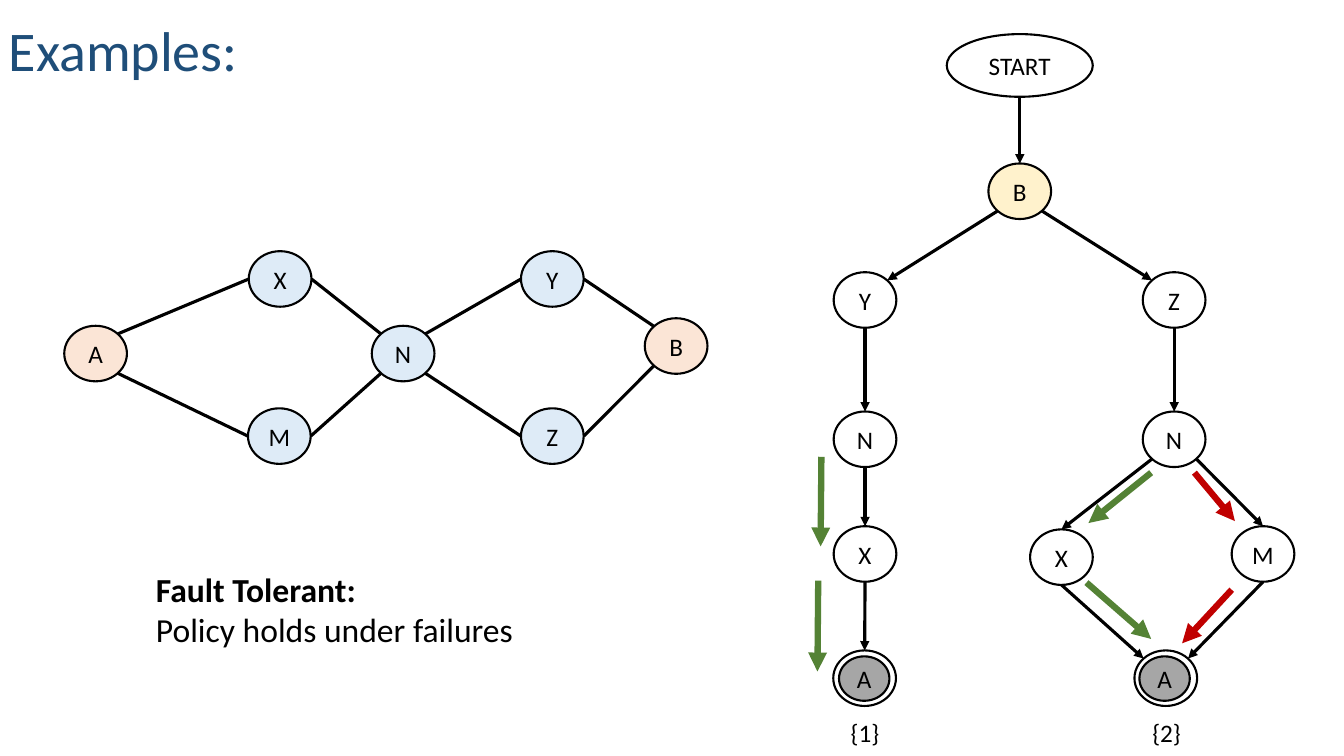
"""Build a slide comparing a network with its fault-tolerant policy tree."""
from dataclasses import dataclass

from lxml import etree
from pptx import Presentation
from pptx import util as u
from pptx.dml.color import RGBColor
from pptx.enum import shapes, text
from pptx.oxml.ns import qn


@dataclass(frozen=True)
class Theme:
    font: str = "Calibri"
    title: str = "1F4E79"
    ink: str = "000000"
    white: str = "FFFFFF"
    endpoint: str = "FBE5D6"
    switch: str = "DEEBF7"
    root: str = "FFF2CC"
    goal: str = "A6A6A6"
    primary: str = "548235"
    backup: str = "C00000"
    title_size: int = 40
    body_size: int = 24
    label_size: int = 18
    outline: float = 1.5
    edge: float = 2.25
    route: float = 4.5


THEME = Theme()
NODE = (1.58, 1.4)
START = (3.68, 1.58)
GOAL = (1.27, 1.12)

TITLE = ("Examples:", (-0.03, -0.13, 22.2, 2.36))
NOTE = ("Fault Tolerant:\nPolicy holds under failures", (3.68, 14.2, 9.91, 2.31))
CAPTIONS = [("{1}", (21.18, 17.96, 1.24, 1.02)), ("{2}", (28.78, 17.96, 1.24, 1.02))]

# key: label, centre x, centre y, size, fill
NODES = {
    "net A": ("A", 2.41, 8.91, NODE, THEME.endpoint),
    "net X": ("X", 7.06, 7.03, NODE, THEME.switch),
    "net M": ("M", 7.04, 10.99, NODE, THEME.switch),
    "net N": ("N", 10.16, 8.91, NODE, THEME.switch),
    "net Y": ("Y", 13.92, 7.03, NODE, THEME.switch),
    "net Z": ("Z", 13.92, 10.99, NODE, THEME.switch),
    "net B": ("B", 17.04, 8.72, NODE, THEME.endpoint),
    "start": ("START", 25.7, 1.65, START, THEME.white),
    "root": ("B", 25.7, 4.82, NODE, THEME.root),
    "left Y": ("Y", 21.8, 7.56, NODE, THEME.white),
    "left N": ("N", 21.8, 11.07, NODE, THEME.white),
    "left X": ("X", 21.8, 13.96, NODE, THEME.white),
    "left ring": ("", 21.79, 17.09, NODE, THEME.white),
    "left A": ("A", 21.78, 17.1, GOAL, THEME.goal),
    "right Z": ("Z", 29.59, 7.56, NODE, THEME.white),
    "right N": ("N", 29.59, 11.07, NODE, THEME.white),
    "right X": ("X", 26.75, 14.04, NODE, THEME.white),
    "right M": ("M", 31.83, 13.96, NODE, THEME.white),
    "right ring": ("", 29.38, 17.09, NODE, THEME.white),
    "right A": ("A", 29.35, 17.1, GOAL, THEME.goal),
}

SIDES = {"n": (0, -1), "s": (0, 1), "w": (-1, 0), "e": (1, 0),
         "nw": (-0.71, -0.71), "ne": (0.71, -0.71),
         "sw": (-0.71, 0.71), "se": (0.71, 0.71)}

LINKS = [
    ("net A", "ne", "net X", "w"), ("net A", "se", "net M", "w"),
    ("net N", "nw", "net X", "e"), ("net N", "sw", "net M", "e"),
    ("net N", "ne", "net Y", "w"), ("net N", "se", "net Z", "w"),
    ("net Y", "e", "net B", "nw"), ("net Z", "e", "net B", "sw"),
]
STEPS = [
    ("start", "s", "root", "n"),
    ("root", "sw", "left Y", "ne"), ("root", "se", "right Z", "nw"),
    ("left Y", "s", "left N", "n"), ("left N", "s", "left X", "n"),
    ("left X", "s", "left ring", "n"), ("right Z", "s", "right N", "n"),
    ("right N", "sw", "right X", "n"), ("right N", "se", "right M", "n"),
    ("right X", "s", "right ring", "nw"), ("right M", "s", "right ring", "ne"),
]
ROUTES = [
    ((20.7, 11.51), (20.68, 13.77), THEME.primary),
    ((20.62, 14.63), (20.6, 16.92), THEME.primary),
    ((29.01, 11.91), (27.43, 13.18), THEME.primary),
    ((27.38, 14.68), (29.01, 16.1), THEME.primary),
    ((30.1, 11.91), (31.12, 13.13), THEME.backup),
    ((31.04, 14.86), (29.79, 16.21), THEME.backup),
]


def rgb(value):
    return RGBColor.from_string(value)


def style_text(frame, size, color=THEME.ink, align=None):
    for para in frame.paragraphs:
        para.alignment = align
        for span in para.runs:
            span.font.name = THEME.font
            span.font.size = u.Pt(size)
            span.font.color.rgb = rgb(color)


def add_text(page, words, bounds, size, color=THEME.ink, align=None):
    frame = page.shapes.add_textbox(*map(u.Cm, bounds)).text_frame
    frame.word_wrap = False
    frame.text = words
    style_text(frame, size, color, align)
    return frame


def add_node(page, label, x, y, size, fill):
    width, height = size
    bounds = (x - width / 2, y - height / 2, width, height)
    node = page.shapes.add_shape(shapes.MSO_SHAPE.OVAL, *map(u.Cm, bounds))
    node.shadow.inherit = False
    node.fill.solid()
    node.fill.fore_color.rgb = rgb(fill)
    node.line.color.rgb = rgb(THEME.ink)
    node.line.width = u.Pt(THEME.outline)
    if label:
        frame = node.text_frame
        frame.margin_left = frame.margin_right = frame.margin_top = frame.margin_bottom = 0
        frame.word_wrap = False
        frame.vertical_anchor = text.MSO_ANCHOR.MIDDLE
        frame.text = label
        style_text(frame, THEME.label_size, align=text.PP_ALIGN.CENTER)


def add_line(page, start, end, color, weight, arrow):
    line = page.shapes.add_connector(shapes.MSO_CONNECTOR.STRAIGHT, *map(u.Cm, start + end))
    line.line.color.rgb = rgb(color)
    line.line.width = u.Pt(weight)
    if arrow:
        etree.SubElement(line.line._get_or_add_ln(), qn("a:tailEnd"), type="triangle")
    etree.SubElement(line._element.spPr, qn("a:effectLst"))


def rim(key, side):
    _, x, y, (width, height), _ = NODES[key]
    across, down = SIDES[side]
    return x + across * width / 2, y + down * height / 2


def main():
    deck = Presentation()
    deck.slide_width, deck.slide_height = u.Cm(33.87), u.Cm(19.05)
    page = deck.slides.add_slide(deck.slide_layouts[6])

    title = add_text(page, *TITLE, THEME.title_size, THEME.title)
    title.word_wrap = True
    title.vertical_anchor = text.MSO_ANCHOR.BOTTOM
    title.paragraphs[0].line_spacing = 0.9

    for node in NODES.values():
        add_node(page, *node)
    for edges, arrow in ((LINKS, False), (STEPS, True)):
        for source, leaving, target, entering in edges:
            add_line(page, rim(source, leaving), rim(target, entering),
                     THEME.ink, THEME.edge, arrow)
    for start, end, color in ROUTES:
        add_line(page, start, end, color, THEME.route, True)

    for caption in CAPTIONS:
        add_text(page, *caption, THEME.label_size, align=text.PP_ALIGN.CENTER)
    note = add_text(page, *NOTE, THEME.body_size)
    note.paragraphs[0].runs[0].font.bold = True

    deck.save("out.pptx")


if __name__ == "__main__":
    main()
